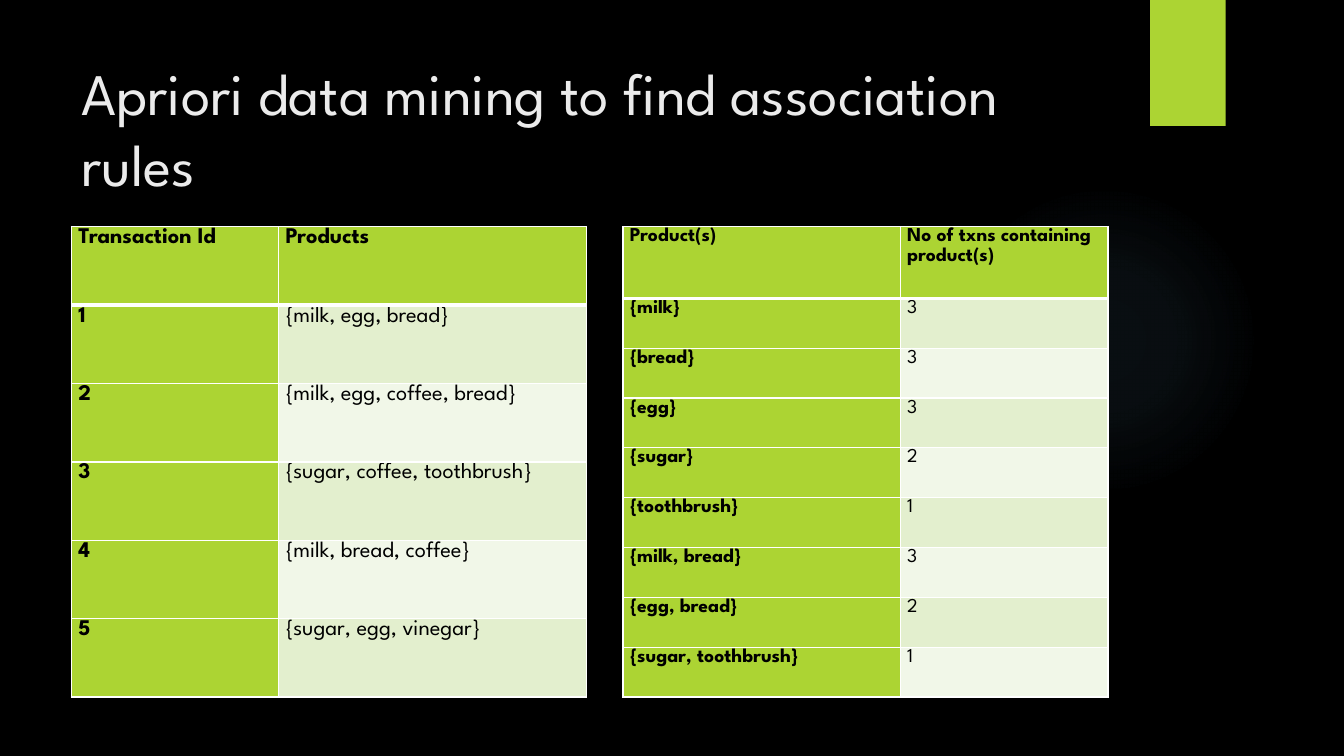
import pptx
import pptx.dml.color
import pptx.enum.shapes
import pptx.enum.text
import pptx.oxml
import pptx.oxml.ns
import pptx.util
from lxml import etree

Pt = pptx.util.Pt
RGBColor = pptx.dml.color.RGBColor

FONT = "League Spartan"
BLACK = RGBColor(0x00, 0x00, 0x00)
WHITE = RGBColor(0xFF, 0xFF, 0xFF)
LIME = RGBColor(0xAC, 0xD4, 0x33)
PALE_LIME = RGBColor(0xE3, 0xEF, 0xCE)
PALEST_LIME = RGBColor(0xF1, 0xF7, 0xE8)
TITLE_GREY = RGBColor(0xEB, 0xEB, 0xEB)
GLOW_BLUE = RGBColor(0x7A, 0xC4, 0xF0)
GLOW_STOPS = [(0, 7), (36, 6), (69, 0)]

TRANSACTIONS = [
    ("Transaction Id", "Products"),
    ("1", "{milk, egg, bread}"),
    ("2", "{milk, egg, coffee, bread}"),
    ("3", "{sugar, coffee, toothbrush}"),
    ("4", "{milk, bread, coffee}"),
    ("5", "{sugar, egg, vinegar}"),
]
PRODUCT_COUNTS = [
    ("Product(s)", "No of txns containing product(s)"),
    ("{milk}", "3"),
    ("{bread}", "3"),
    ("{egg}", "3"),
    ("{sugar}", "2"),
    ("{toothbrush}", "1"),
    ("{milk, bread}", "3"),
    ("{egg, bread}", "2"),
    ("{sugar, toothbrush}", "1"),
]


def format_run(run, size, color, bold=False):
    run.font.name = FONT
    run.font.size = Pt(size)
    run.font.bold = bold
    run.font.color.rgb = color


def add_glow(slide, left, top, size):
    glow = slide.shapes.add_shape(
        pptx.enum.shapes.MSO_SHAPE.OVAL, Pt(left), Pt(top), Pt(size), Pt(size))
    glow.shadow.inherit = False
    glow.line.fill.background()
    stops = "".join(
        f'<a:gs pos="{position * 1000}"><a:srgbClr val="{GLOW_BLUE}">'
        f'<a:alpha val="{opacity * 1000}"/></a:srgbClr></a:gs>'
        for position, opacity in GLOW_STOPS)
    gradient = pptx.oxml.parse_xml(
        f'<a:gradFill {pptx.oxml.ns.nsdecls("a")}><a:gsLst>{stops}</a:gsLst>'
        '<a:path path="circle"><a:fillToRect l="50000" t="50000" r="50000" b="50000"/>'
        '</a:path></a:gradFill>')
    glow.element.spPr.find(pptx.oxml.ns.qn("a:prstGeom")).addnext(gradient)


def add_ribbon(slide, left, top, width, height):
    ribbon = slide.shapes.add_shape(
        pptx.enum.shapes.MSO_SHAPE.RECTANGLE, Pt(left), Pt(top), Pt(width), Pt(height))
    ribbon.shadow.inherit = False
    ribbon.fill.solid()
    ribbon.fill.fore_color.rgb = LIME
    ribbon.line.fill.background()
    effects = ribbon.element.spPr.find(pptx.oxml.ns.qn("a:effectLst"))
    effects.append(pptx.oxml.parse_xml(
        f'<a:outerShdw {pptx.oxml.ns.nsdecls("a")} blurRad="{Pt(3)}" dist="{Pt(2)}" '
        f'dir="5400000" rotWithShape="0"><a:srgbClr val="{BLACK}">'
        '<a:alpha val="45000"/></a:srgbClr></a:outerShdw>'))


def add_title(slide, left, top, width, height):
    title = slide.shapes.add_textbox(Pt(left), Pt(top), Pt(width), Pt(height))
    title.text_frame.word_wrap = True
    title.text_frame.vertical_anchor = pptx.enum.text.MSO_ANCHOR.MIDDLE
    title.text_frame.text = "Apriori data mining to find association rules"
    format_run(title.text_frame.paragraphs[0].runs[0], 42, TITLE_GREY)


def set_borders(cell, widths):
    properties = cell._tc.get_or_add_tcPr()
    for index, (side, width) in enumerate(widths.items()):
        properties.insert(index, pptx.oxml.parse_xml(
            f'<a:{side} {pptx.oxml.ns.nsdecls("a")} w="{Pt(width)}"><a:solidFill>'
            f'<a:srgbClr val="{WHITE}"/></a:solidFill></a:{side}>'))


def add_data_table(slide, left, top, column_widths, header_height, row_height, size, records):
    height = header_height + row_height * (len(records) - 1)
    table = slide.shapes.add_table(
        len(records), len(column_widths),
        Pt(left), Pt(top), Pt(sum(column_widths)), Pt(height)).table
    for column, width in zip(table.columns, column_widths):
        column.width = Pt(width)
    for row_index, record in enumerate(records):
        is_header = row_index == 0
        table.rows[row_index].height = Pt(header_height if is_header else row_height)
        for column_index, value in enumerate(record):
            is_label = is_header or column_index == 0
            band = PALE_LIME if row_index % 2 else PALEST_LIME
            cell = table.cell(row_index, column_index)
            cell.margin_left = cell.margin_right = Pt(5)
            cell.margin_top = cell.margin_bottom = 0
            cell.fill.solid()
            cell.fill.fore_color.rgb = LIME if is_label else band
            set_borders(cell, {"lnL": 1, "lnR": 1, "lnT": 3 if row_index == 1 else 1,
                               "lnB": 3 if is_header else 1})
            cell.text_frame.text = value
            paragraph = cell.text_frame.paragraphs[0]
            paragraph.line_spacing = 1.07
            format_run(paragraph.runs[0], size, BLACK, is_label)


def build_association_slide(presentation):
    slide = presentation.slides.add_slide(presentation.slide_layouts[6])
    slide.background.fill.solid()
    slide.background.fill.fore_color.rgb = BLACK
    add_glow(slide, 677.5, 131.8, 221.8)
    add_ribbon(slide, 821.5, 0, 54, 90)
    add_title(slide, 51, 36, 741, 110)
    add_data_table(slide, 51, 162, (148, 220), 56, 56, 16, TRANSACTIONS)
    add_data_table(slide, 445, 162, (198, 148.5), 51.2, 35.6, 14, PRODUCT_COUNTS)


def main():
    presentation = pptx.Presentation()
    presentation.slide_width = Pt(960)
    presentation.slide_height = Pt(540)
    build_association_slide(presentation)
    presentation.save("out.pptx")


if __name__ == "__main__":
    main()
